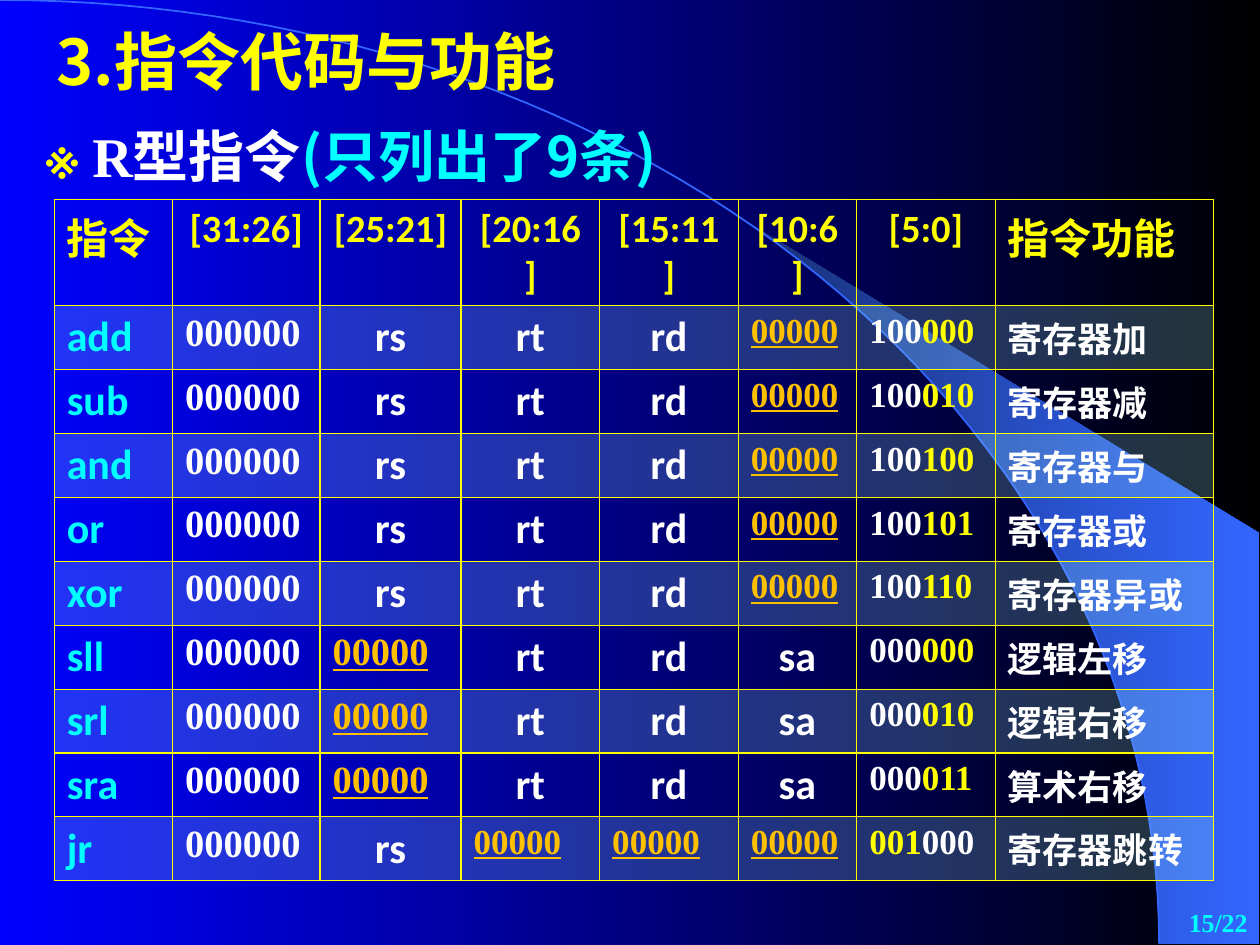
from dataclasses import dataclass
from math import cos, radians, sin

from lxml.etree import SubElement
from pptx import Presentation
from pptx.dml.color import RGBColor
from pptx.enum.text import MSO_ANCHOR, MSO_AUTO_SIZE, PP_ALIGN
from pptx.oxml.ns import qn
from pptx.util import Inches, Pt

COLORS = {
    "blue": "0000FF", "black": "000000", "navy": "182F76", "azure": "3366FF",
    "yellow": "FFFF00", "cyan": "00FFFF", "white": "FFFFFF",
    "orange": "FFC000", "band": "AAFFFF",
}
CJK, SERIF, SANS = "Noto Sans CJK SC", "Times New Roman", "Calibri"
SLIDE_WIDTH, SLIDE_HEIGHT = Inches(10), Inches(7.5)

# Lengths are percentages of the slide's width or height.
COLUMN_WIDTHS = (9.4, 11.7, 11.2, 11, 11, 9.4, 11, 17.3)
HEADER_HEIGHT, ROW_HEIGHT = 11.2, 6.71
ARC_WIDTH, ARC_HEIGHT = 92, 99.87


@dataclass(frozen=True)
class Style:
    color: str
    name: str
    size: float
    underline: bool = False


@dataclass(frozen=True)
class Instruction:
    mnemonic: str
    operands: tuple[str, str, str, str]
    function: str
    meaning: str
    colors: tuple[str, str] = ("white", "yellow")


Runs = list[tuple[str, Style]]

TITLE = Style("yellow", CJK, 36)
HEADER_CJK = Style("yellow", CJK, 24)
HEADER_BITS = Style("yellow", SANS, 22)
MNEMONIC = Style("cyan", SANS, 24)
OPCODE = Style("white", SERIF, 22)
REGISTER = Style("white", SANS, 24)
UNUSED = Style("orange", SERIF, 20, True)
UNUSED_WIDE = Style("orange", SERIF, 22, True)
MEANING = Style("white", CJK, 20)

HEADERS = ("指令", "[31:26]", "[25:21]", "[20:16]", "[15:11]", "[10:6]", "[5:0]", "指令功能")
ZERO = "00000"
ARITHMETIC = ("rs", "rt", "rd", ZERO)
SHIFT = (ZERO, "rt", "rd", "sa")
INSTRUCTIONS = (
    Instruction("add", ARITHMETIC, "100000", "寄存器加"),
    Instruction("sub", ARITHMETIC, "100010", "寄存器减"),
    Instruction("and", ARITHMETIC, "100100", "寄存器与"),
    Instruction("or", ARITHMETIC, "100101", "寄存器或"),
    Instruction("xor", ARITHMETIC, "100110", "寄存器异或"),
    Instruction("sll", SHIFT, "000000", "逻辑左移"),
    Instruction("srl", SHIFT, "000010", "逻辑右移"),
    Instruction("sra", SHIFT, "000011", "算术右移"),
    Instruction("jr", ("rs", ZERO, ZERO, ZERO), "001000", "寄存器跳转", ("yellow", "white")),
)


def rgb(color: str) -> RGBColor:
    return RGBColor.from_string(COLORS[color])


def across(percent: float) -> int:
    return round(SLIDE_WIDTH * percent / 100)


def down(percent: float) -> int:
    return round(SLIDE_HEIGHT * percent / 100)


def box(left: float, top: float, width: float, height: float) -> tuple[int, int, int, int]:
    return across(left), down(top), across(width), down(height)


def fill_gradient(fill, start: str, end: str) -> None:
    fill.gradient()
    fill.gradient_angle = 0
    for stop, color in zip(fill.gradient_stops, (start, end)):
        stop.color.rgb = rgb(color)


def write(frame, runs: Runs, alignment=PP_ALIGN.LEFT) -> None:
    paragraph = frame.paragraphs[0]
    paragraph.alignment = alignment
    for text, style in runs:
        run = paragraph.add_run()
        run.text = text
        run.font.color.rgb = rgb(style.color)
        formats = {"name": style.name, "size": Pt(style.size), "bold": True,
                   "underline": style.underline}
        for attribute, value in formats.items():
            setattr(run.font, attribute, value)
        SubElement(run._r.get_or_add_rPr(), qn("a:ea"), typeface=CJK)


def write_box(shape, runs: Runs, alignment=PP_ALIGN.LEFT) -> None:
    frame = shape.text_frame
    formats = {"word_wrap": True, "auto_size": MSO_AUTO_SIZE.NONE,
               "vertical_anchor": MSO_ANCHOR.MIDDLE}
    for attribute, value in formats.items():
        setattr(frame, attribute, value)
    write(frame, runs, alignment)


def arc_points(start: float, steps: int = 60) -> list[tuple[int, int]]:
    """Points of the quarter ellipse, from an angle in degrees to its right end."""
    angles = [radians(start + (90 - start) * step / steps) for step in range(steps + 1)]
    return [(across(ARC_WIDTH * sin(angle)), down(ARC_HEIGHT * (1 - cos(angle))))
            for angle in angles]


def draw_outline(slide, points: list[tuple[int, int]], close: bool):
    """Draw a freeform behind the title."""
    builder = slide.shapes.build_freeform(*points[0])
    builder.add_line_segments(points[1:], close=close)
    shape = builder.convert_to_shape()
    shape.shadow.inherit = False
    slide.shapes.title.element.addprevious(shape.element)
    return shape


def draw_backdrop(slide) -> None:
    fill_gradient(slide.background.fill, "blue", "black")
    corners = [(across(99.9), down(ARC_HEIGHT)), (across(99.9), down(56.4))]
    wedge = draw_outline(slide, arc_points(39.8) + corners, True)
    fill_gradient(wedge.fill, "navy", "azure")
    wedge.line.fill.background()
    arc = draw_outline(slide, arc_points(0), False)
    arc.fill.background()
    arc.line.color.rgb = rgb("azure")
    arc.line.width = Pt(1)


def format_cell(cell, banded: bool) -> None:
    properties = cell._tc.get_or_add_tcPr()
    for side in ("lnL", "lnR", "lnT", "lnB"):
        line = SubElement(properties, qn(f"a:{side}"), w=str(Pt(0.75)))
        SubElement(SubElement(line, qn("a:solidFill")), qn("a:srgbClr"), val=COLORS["yellow"])
    if banded:
        cell.fill.solid()
        cell.fill.fore_color.rgb = rgb("band")
        color = properties.find(qn("a:solidFill")).find(qn("a:srgbClr"))
        SubElement(color, qn("a:alpha"), val="20000")
    else:
        cell.fill.background()


def header_cells() -> list[tuple[Runs, PP_ALIGN]]:
    return [([(text, HEADER_BITS)], PP_ALIGN.CENTER) if text.startswith("[")
            else ([(text, HEADER_CJK)], PP_ALIGN.LEFT) for text in HEADERS]


def instruction_cells(instruction: Instruction) -> list[tuple[Runs, PP_ALIGN]]:
    cells = [([(instruction.mnemonic, MNEMONIC)], PP_ALIGN.LEFT),
             ([("000000", OPCODE)], PP_ALIGN.LEFT)]
    for index, operand in enumerate(instruction.operands):
        if operand == ZERO:
            cells.append(([(operand, UNUSED if index else UNUSED_WIDE)], PP_ALIGN.LEFT))
        else:
            cells.append(([(operand, REGISTER)], PP_ALIGN.CENTER))
    halves = (instruction.function[:3], instruction.function[3:])
    cells.append(([(half, Style(color, SERIF, 20))
                   for half, color in zip(halves, instruction.colors)], PP_ALIGN.LEFT))
    cells.append(([(instruction.meaning, MEANING)], PP_ALIGN.LEFT))
    return cells


def draw_table(slide) -> None:
    rows = [header_cells(), *map(instruction_cells, INSTRUCTIONS)]
    heights = [HEADER_HEIGHT] + [ROW_HEIGHT] * len(INSTRUCTIONS)
    table = slide.shapes.add_table(
        len(rows), len(COLUMN_WIDTHS), *box(4.3, 21.1, sum(COLUMN_WIDTHS), sum(heights))).table
    table.horz_banding = False
    for column, width in zip(table.columns, COLUMN_WIDTHS):
        column.width = across(width)
    for row_index, (row, height) in enumerate(zip(rows, heights)):
        table.rows[row_index].height = down(height)
        for column_index, (runs, alignment) in enumerate(row):
            cell = table.cell(row_index, column_index)
            format_cell(cell, banded=row_index % 2 == 1)
            write(cell.text_frame, runs, alignment)


def main() -> None:
    presentation = Presentation()
    presentation.slide_width, presentation.slide_height = SLIDE_WIDTH, SLIDE_HEIGHT
    slide = presentation.slides.add_slide(presentation.slide_layouts[5])
    draw_backdrop(slide)

    title = slide.shapes.title
    title.left, title.top, title.width, title.height = box(3.5, 1.73, 54.2, 9.33)
    write_box(title, [("3.指令代码与功能", TITLE)])
    subtitle = slide.shapes.add_textbox(*box(2.7, 12.13, 60.6, 8.53))
    write_box(subtitle, [("※ ", Style("yellow", SERIF, 32)),
                         ("R型指令", Style("white", SERIF, 32)),
                         ("(只列出了9条)", Style("cyan", CJK, 32))])
    page_number = slide.shapes.add_textbox(*box(79.2, 95.2, 20.8, 4.8))
    write_box(page_number, [("15/22", Style("cyan", SERIF, 14.8))], PP_ALIGN.RIGHT)
    draw_table(slide)
    presentation.save("out.pptx")


if __name__ == "__main__":
    main()
